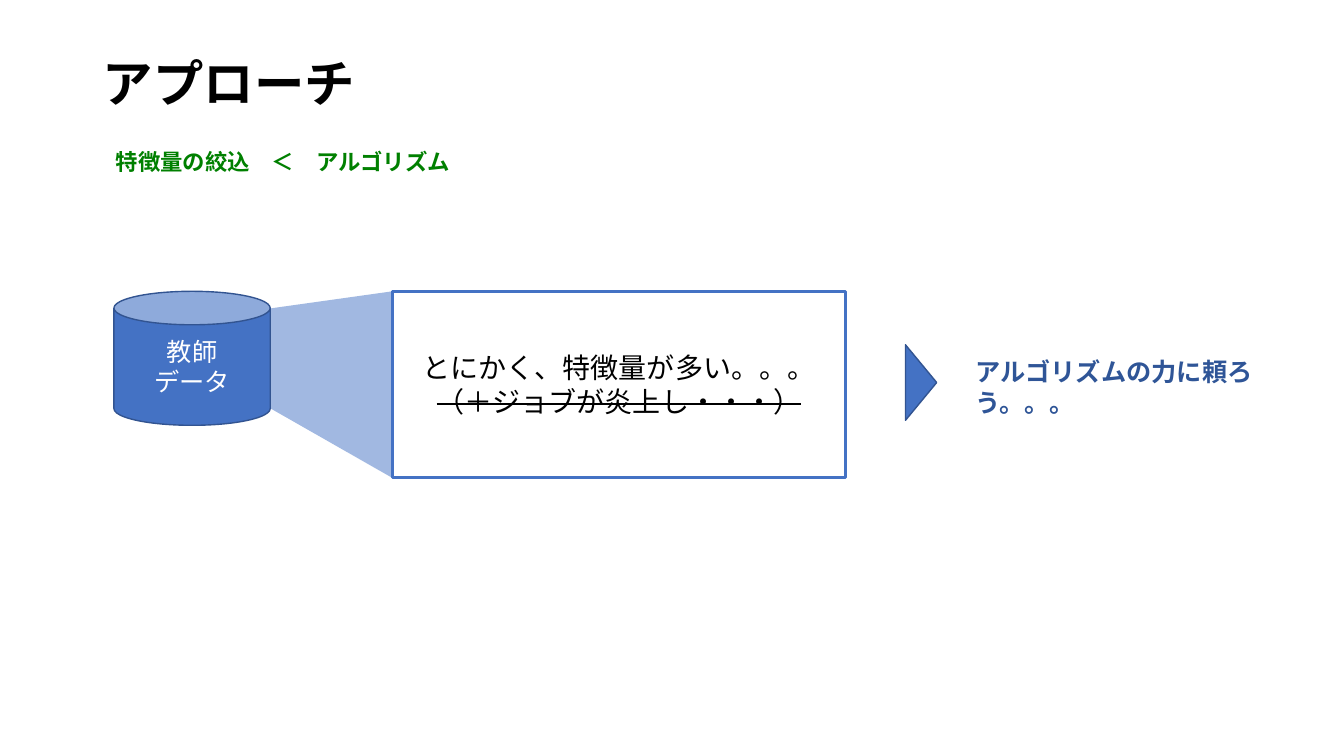
import pptx
import pptx.util
import pptx.dml.color
import pptx.enum.shapes
import pptx.enum.text
import pptx.oxml.ns
import lxml.etree
from dataclasses import dataclass

Inches, Pt = pptx.util.Inches, pptx.util.Pt
Shape = pptx.enum.shapes.MSO_SHAPE
Align = pptx.enum.text.PP_ALIGN
Anchor = pptx.enum.text.MSO_ANCHOR
qn = pptx.oxml.ns.qn


# Content
TITLE = "アプローチ"
SUBTITLE = "特徴量の絞込　＜　アルゴリズム"
DATA_LINES = ["教師", "データ"]
ISSUE_LINES = ["とにかく、特徴量が多い。。。", "（＋ジョブが炎上し・・・）"]
STRUCK_LINE = 1
CONCLUSION = "アルゴリズムの力に頼ろう。。。"

# Places: left, top, width, height in inches
TITLE_AT = (0.92, 0.4, 11.5, 0.91)
SUBTITLE_AT = (1.05, 1.39, 11.37, 0.46)
DATA_AT = (1.13, 2.89, 1.55, 1.33)
ISSUE_AT = (3.89, 2.89, 4.5, 1.85)
CONCLUSION_AT = (9.58, 3.49, 3.08, 0.71)
POINTER_AT = (8.76, 3.64, 0.75, 0.31)
BEAM_INSET = 0.17


@dataclass(frozen=True)
class Theme:
    blue: str = "4472C4"
    edge: str = "325491"
    dark_blue: str = "2F5597"
    green: str = "008000"
    black: str = "000000"
    white: str = "FFFFFF"
    japanese: str = "Noto Sans CJK JP"
    subtitle_font: str = "Montserrat"
    conclusion_font: str = "Arial"
    title_size: int = 36
    issue_size: int = 20
    body_size: int = 18
    subtitle_size: int = 16


theme = Theme()


def rgb(code):
    return pptx.dml.color.RGBColor.from_string(code)


def place(shape, at):
    shape.left, shape.top, shape.width, shape.height = map(Inches, at)


def write(shape, lines, size, color, font, bold=False, align=Align.LEFT,
          anchor=Anchor.MIDDLE, spacing=1.0):
    frame = shape.text_frame
    frame.word_wrap = True
    frame.auto_size = pptx.enum.text.MSO_AUTO_SIZE.NONE
    frame.vertical_anchor = anchor
    frame.text = "\n".join(lines)
    for para in frame.paragraphs:
        para.alignment = align
        para.line_spacing = spacing
        para.font.size = Pt(size)
        para.font.bold = bold
        para.font.color.rgb = rgb(color)
        para.font.name = font
        defaults = para._p.pPr.find(qn("a:defRPr"))
        lxml.etree.SubElement(defaults, qn("a:ea"), typeface=font)


def paint(shape, fill, line=None, width=1):
    shape.shadow.inherit = False
    shape.fill.solid()
    shape.fill.fore_color.rgb = rgb(fill)
    if line:
        shape.line.color.rgb = rgb(line)
        shape.line.width = Pt(width)
    else:
        shape.line.fill.background()


def add_preset(kind, at, fill, line, width=1):
    shape = page.shapes.add_shape(kind, *map(Inches, at))
    paint(shape, fill, line, width)
    return shape


def add_text(at, *args, **options):
    box = page.shapes.add_textbox(*map(Inches, at))
    write(box, *args, **options)
    return box


# Page
deck = pptx.Presentation()
deck.slide_width, deck.slide_height = Inches(13.33), Inches(7.5)
page = deck.slides.add_slide(deck.slide_layouts[5])

# Heading
title = page.shapes.title
place(title, TITLE_AT)
write(title, [TITLE], theme.title_size, theme.black, theme.japanese,
      bold=True, spacing=0.9)
add_text(SUBTITLE_AT, [SUBTITLE], theme.subtitle_size, theme.green,
         theme.subtitle_font, bold=True, spacing=0.9)

# Beam from the data store to the issue box
data_right = DATA_AT[0] + DATA_AT[2]
data_bottom = DATA_AT[1] + DATA_AT[3]
issue_left, issue_top = ISSUE_AT[:2]
issue_bottom = issue_top + ISSUE_AT[3]
corners = [(issue_left, issue_top), (issue_left, issue_bottom),
           (data_right, data_bottom - BEAM_INSET),
           (data_right, DATA_AT[1] + BEAM_INSET)]
points = [(Inches(x), Inches(y)) for x, y in corners]
outline = page.shapes.build_freeform(*points[0])
outline.add_line_segments(points[1:], close=True)
beam = outline.convert_to_shape()
paint(beam, theme.blue)
beam_color = beam._element.spPr.find(qn("a:solidFill"))[0]
lxml.etree.SubElement(beam_color, qn("a:alpha"), val="50000")

# Data store
store = add_preset(Shape.CAN, DATA_AT, theme.blue, theme.edge)
write(store, DATA_LINES, theme.body_size, theme.white, theme.japanese,
      align=Align.CENTER)

# Issue box
issue = add_preset(Shape.RECTANGLE, ISSUE_AT, theme.white, theme.blue, 2.25)
write(issue, ISSUE_LINES, theme.issue_size, theme.black, theme.japanese,
      align=Align.CENTER)
struck = issue.text_frame.paragraphs[STRUCK_LINE].runs[0]
struck.font._element.set("strike", "sngStrike")

# Conclusion
add_text(CONCLUSION_AT, [CONCLUSION], theme.body_size, theme.dark_blue,
         theme.conclusion_font, bold=True, anchor=Anchor.TOP)
pointer = add_preset(Shape.FLOWCHART_EXTRACT, POINTER_AT, theme.blue, theme.edge)
pointer.rotation = 90

deck.save("out.pptx")
